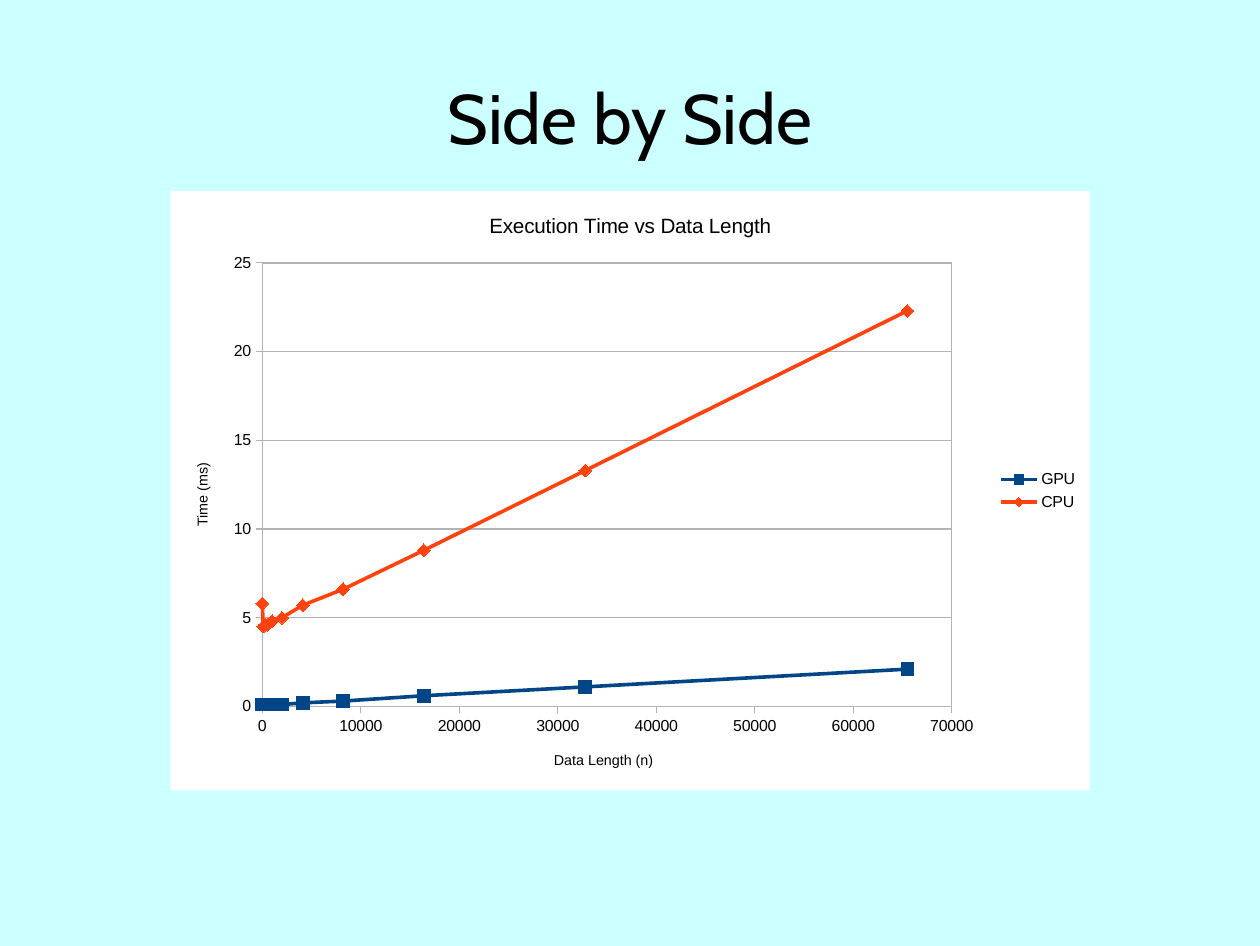
"""Build the slide that charts GPU and CPU execution time side by side."""
from dataclasses import dataclass

from lxml.etree import SubElement
from pptx import Presentation
from pptx.chart.data import XyChartData
from pptx.dml.color import RGBColor
from pptx.enum.chart import (XL_CHART_TYPE as ChartType, XL_LEGEND_POSITION as LegendPosition,
                             XL_MARKER_STYLE as Marker, XL_TICK_MARK as Tick)
from pptx.enum.text import MSO_ANCHOR as Anchor, PP_ALIGN as Align
from pptx.oxml import parse_xml
from pptx.oxml.ns import nsdecls, qn
from pptx.util import Inches, Pt

HEADING = "Side by Side"
CHART_TITLE = "Execution Time vs Data Length"
X_TITLE, Y_TITLE = "Data Length (n)", "Time (ms)"
X_SCALE, Y_SCALE = (70000, 10000), (25, 5)
DATA_LENGTHS = [round(2 ** power, -2) for power in range(5, 17)]
TIMES = {
    "GPU": [0.1, 0.1, 0.1, 0.1, 0.1, 0.1, 0.1, 0.2, 0.3, 0.6, 1.1, 2.1],
    "CPU": [5.8, 4.5, 4.5, 4.6, 4.6, 4.8, 5, 5.7, 6.6, 8.8, 13.3, 22.3],
}
STYLES = {"GPU": ("004586", Marker.SQUARE), "CPU": ("FF420E", Marker.DIAMOND)}
SLIDE_SIZE = (11.02, 8.27)
HEADING_BOX = (0.55, 0.33, 9.92, 1.38)
CHART_BOX = (1.49, 1.67, 8.04, 5.24)
PLOT_SHARE = {"x": 0.1, "y": 0.12, "w": 0.75, "h": 0.74}


@dataclass(frozen=True)
class Theme:
    """Colours, fonts and type sizes of the slide."""
    background: str = "CCFFFF"
    panel: str = "FFFFFF"
    text: str = "000000"
    grid: str = "B3B3B3"
    heading_font: str = "Cabin"
    chart_font: str = "Arial"
    heading: float = 44
    chart_title: float = 13
    axis_title: float = 9
    label: float = 10
    grid_width: float = 0.75
    series_width: float = 2.27
    marker: int = 8


THEME = Theme()


def set_font(font, name, size):
    """Apply a typeface and size in the text colour."""
    font.name, font.size, font.bold = name, Pt(size), False
    font.color.rgb = RGBColor.from_string(THEME.text)


def set_line(line, color, width):
    """Draw a solid line."""
    line.color.rgb = RGBColor.from_string(color)
    line.width = Pt(width)


def set_title(titled, text, size):
    """Title a chart or an axis."""
    frame = titled.text_frame
    frame.text = text
    set_font(frame.paragraphs[0].font, THEME.chart_font, size)


def format_axis(axis, title, scale):
    """Style one axis and fix its scale."""
    axis.minimum_scale = 0
    axis.maximum_scale, axis.major_unit = scale
    axis.major_tick_mark, axis.minor_tick_mark = Tick.OUTSIDE, Tick.NONE
    axis.tick_labels.number_format = "General"
    axis.tick_labels.number_format_is_linked = False
    set_font(axis.tick_labels.font, THEME.chart_font, THEME.label)
    set_line(axis.format.line, THEME.grid, THEME.grid_width)
    set_title(axis.axis_title, title, THEME.axis_title)


def format_series(series):
    """Give a series its line and marker."""
    color, marker = STYLES[series.name]
    series.smooth = False
    set_line(series.format.line, color, THEME.series_width)
    series.marker.style, series.marker.size = marker, THEME.marker
    series.marker.format.fill.solid()
    series.marker.format.fill.fore_color.rgb = RGBColor.from_string(color)
    set_line(series.marker.format.line, color, THEME.grid_width)


def area_format(fill, line):
    """Return shape properties for a chart area."""
    return parse_xml(f'<c:spPr {nsdecls("c", "a")}>{fill}<a:ln w="{Pt(THEME.grid_width)}">{line}</a:ln></c:spPr>')


def solid(color):
    """Return a solid fill as XML."""
    return f'<a:solidFill><a:srgbClr val="{color}"/></a:solidFill>'


def format_areas(chart):
    """Fill the panel, frame the plot and fix its place."""
    body = chart.element.find(qn("c:chart"))
    body.addnext(area_format(solid(THEME.panel), "<a:noFill/>"))
    plot_area = body.find(qn("c:plotArea"))
    plot_area.append(area_format("<a:noFill/>", solid(THEME.grid)))
    for empty_layout in plot_area.findall(qn("c:layout")):
        plot_area.remove(empty_layout)
    layout = parse_xml(f'<c:layout {nsdecls("c")}/>')
    plot_area.insert(0, layout)
    manual = SubElement(layout, qn("c:manualLayout"))
    settings = {"layoutTarget": "inner", "xMode": "edge", "yMode": "edge", **PLOT_SHARE}
    for tag, value in settings.items():
        SubElement(manual, qn(f"c:{tag}")).set("val", str(value))


def add_heading(slide):
    """Place the slide title."""
    heading = slide.shapes.title
    heading.left, heading.top, heading.width, heading.height = map(Inches, HEADING_BOX)
    frame = heading.text_frame
    frame.text, frame.vertical_anchor, frame.word_wrap = HEADING, Anchor.MIDDLE, True
    frame.margin_left = frame.margin_right = frame.margin_top = frame.margin_bottom = 0
    frame.paragraphs[0].alignment = Align.CENTER
    set_font(frame.paragraphs[0].font, THEME.heading_font, THEME.heading)


def add_timing_chart(slide):
    """Plot time against data length."""
    timings = XyChartData()
    for processor, times in TIMES.items():
        series = timings.add_series(processor)
        for length, time in zip(DATA_LENGTHS, times):
            series.add_data_point(length, time)
    chart = slide.shapes.add_chart(ChartType.XY_SCATTER_LINES, *map(Inches, CHART_BOX), timings).chart
    set_font(chart.font, THEME.chart_font, THEME.label)
    set_title(chart.chart_title, CHART_TITLE, THEME.chart_title)
    chart.chart_title.include_in_layout = False
    chart.has_legend = True
    chart.legend.position, chart.legend.include_in_layout = LegendPosition.RIGHT, False
    set_font(chart.legend.font, THEME.chart_font, THEME.label)
    format_axis(chart.category_axis, X_TITLE, X_SCALE)
    format_axis(chart.value_axis, Y_TITLE, Y_SCALE)
    chart.category_axis.has_major_gridlines = False
    set_line(chart.value_axis.major_gridlines.format.line, THEME.grid, THEME.grid_width)
    chart.plots[0].vary_by_categories = False
    for series in chart.plots[0].series:
        format_series(series)
    format_areas(chart)


def main():
    """Build and save the slide."""
    deck = Presentation()
    deck.slide_width, deck.slide_height = map(Inches, SLIDE_SIZE)
    slide = deck.slides.add_slide(deck.slide_layouts[5])
    slide.background.fill.solid()
    slide.background.fill.fore_color.rgb = RGBColor.from_string(THEME.background)
    add_heading(slide)
    add_timing_chart(slide)
    deck.save("out.pptx")


if __name__ == "__main__":
    main()
